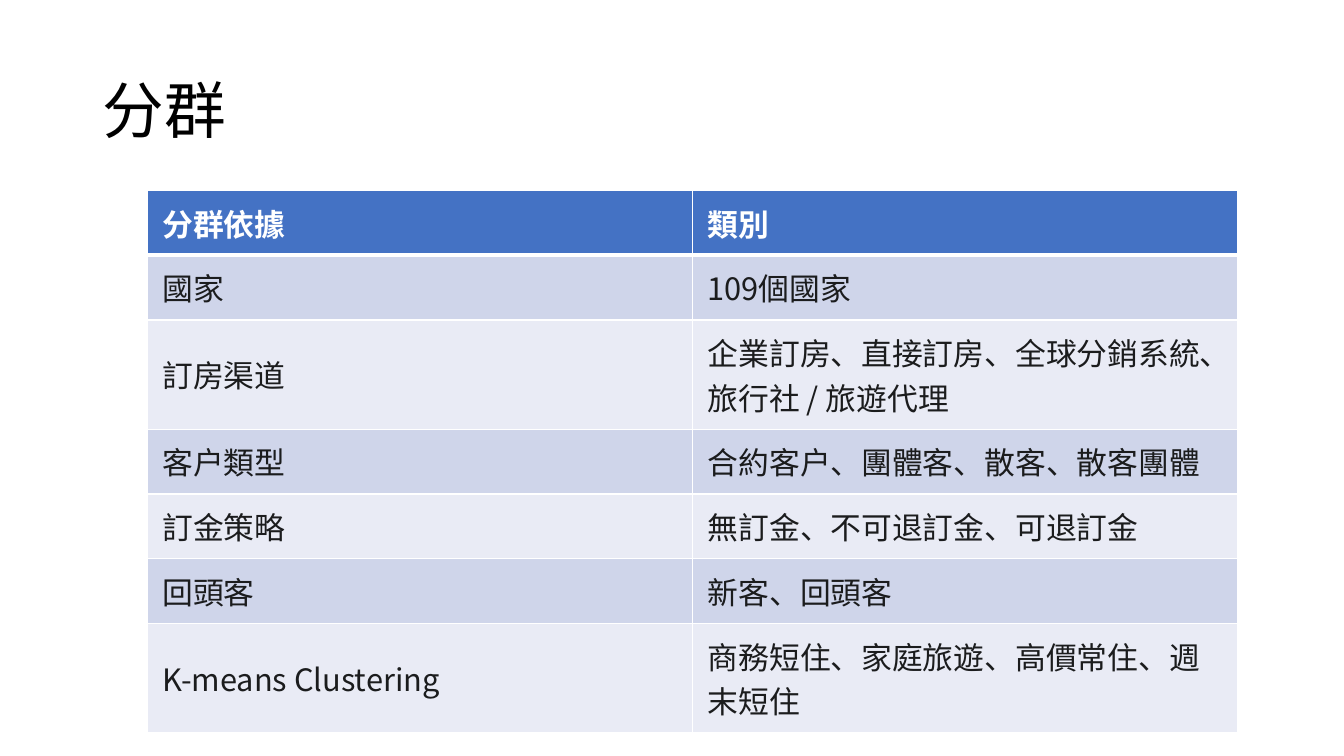
from lxml import etree
from pptx import Presentation
from pptx.dml.color import RGBColor
from pptx.enum.text import MSO_ANCHOR, PP_ALIGN
from pptx.oxml.ns import qn
from pptx.util import Inches, Pt

MIDDLE = MSO_ANCHOR.MIDDLE
LEFT = PP_ALIGN.LEFT

FONT = "Noto Sans CJK TC"
BLACK = RGBColor(0x00, 0x00, 0x00)
WHITE = RGBColor(0xFF, 0xFF, 0xFF)
INK = RGBColor(0x1B, 0x1C, 0x1D)
HEADER_BLUE = RGBColor(0x44, 0x72, 0xC4)
BAND_DARK = RGBColor(0xCF, 0xD5, 0xEA)
BAND_LIGHT = RGBColor(0xE9, 0xEB, 0xF5)

TITLE_BOX = (0.92, 0.4, 11.5, 1.45)
TABLE_BOX = (1.46, 1.89, 10.82, 4.72)
ROW_HEIGHTS = (0.57, 0.57, 0.93, 0.57, 0.57, 0.57, 0.93)
CELL_FORMAT = {
    "margin_left": Inches(0.15),
    "margin_right": Inches(0.15),
    "margin_top": Inches(0.1),
    "margin_bottom": Inches(0.1),
    "vertical_anchor": MIDDLE,
}

SEGMENTS = [
    ("分群依據", "類別"),
    ("國家", "109個國家"),
    ("訂房渠道", "企業訂房、直接訂房、全球分銷系統、旅行社 / 旅遊代理"),
    ("客戶類型", "合約客戶、團體客、散客、散客團體"),
    ("訂金策略", "無訂金、不可退訂金、可退訂金"),
    ("回頭客", "新客、回頭客"),
    ("K-means Clustering", "商務短住、家庭旅遊、高價常住、週末短住"),
]


def add_text(tf, text, size, color, bold=False):
    """Write one left-aligned run, with the font for Latin and Chinese text."""
    p = tf.paragraphs[0]
    p.alignment = LEFT
    r = p.add_run()
    r.text = text
    r.font.color.rgb = color
    for name, value in {"size": Pt(size), "bold": bold, "name": FONT}.items():
        setattr(r.font, name, value)
    rPr = r.font._element
    rPr.find(qn("a:latin")).addnext(
        etree.Element(qn("a:ea"), typeface=FONT))
    return p


def set_borders(cell, widths):
    """Draw white cell borders; widths maps a side (L, R, T, B) to points."""
    tcPr = cell._tc.get_or_add_tcPr()
    for i, (side, width) in enumerate(widths.items()):
        ln = etree.Element(qn(f"a:ln{side}"), w=str(Pt(width)))
        fill = etree.SubElement(ln, qn("a:solidFill"))
        etree.SubElement(fill, qn("a:srgbClr"), val=str(WHITE))
        tcPr.insert(i, ln)


def add_title(s, box, text):
    title = s.shapes.title
    title.left, title.top, title.width, title.height = map(Inches, box)
    tf = title.text_frame
    tf.vertical_anchor = MIDDLE
    add_text(tf, text, 44, BLACK).line_spacing = 0.9


def add_segment_table(s, box, rows):
    columns = len(rows[0])
    table = s.shapes.add_table(len(rows), columns, *map(Inches, box)).table
    for column in table.columns:
        column.width = Inches(box[2] / columns)

    for i, (row, height) in enumerate(zip(rows, ROW_HEIGHTS)):
        table.rows[i].height = Inches(height)
        header = i == 0
        band = BAND_DARK if i % 2 else BAND_LIGHT
        for j, text in enumerate(row):
            cell = table.cell(i, j)
            for name, value in CELL_FORMAT.items():
                setattr(cell, name, value)
            cell.fill.solid()
            cell.fill.fore_color.rgb = HEADER_BLUE if header else band
            # A thick rule separates the header from the body
            set_borders(cell, {"L": 1, "R": 1, "T": 3 if i == 1 else 1,
                               "B": 3 if header else 1})
            add_text(cell.text_frame, text, 22,
                     WHITE if header else INK, header)


def main():
    prs = Presentation()
    prs.slide_width, prs.slide_height = Inches(13.33), Inches(7.5)
    s = prs.slides.add_slide(prs.slide_layouts[5])
    add_title(s, TITLE_BOX, "分群")
    add_segment_table(s, TABLE_BOX, SEGMENTS)
    prs.save("out.pptx")


if __name__ == "__main__":
    main()
